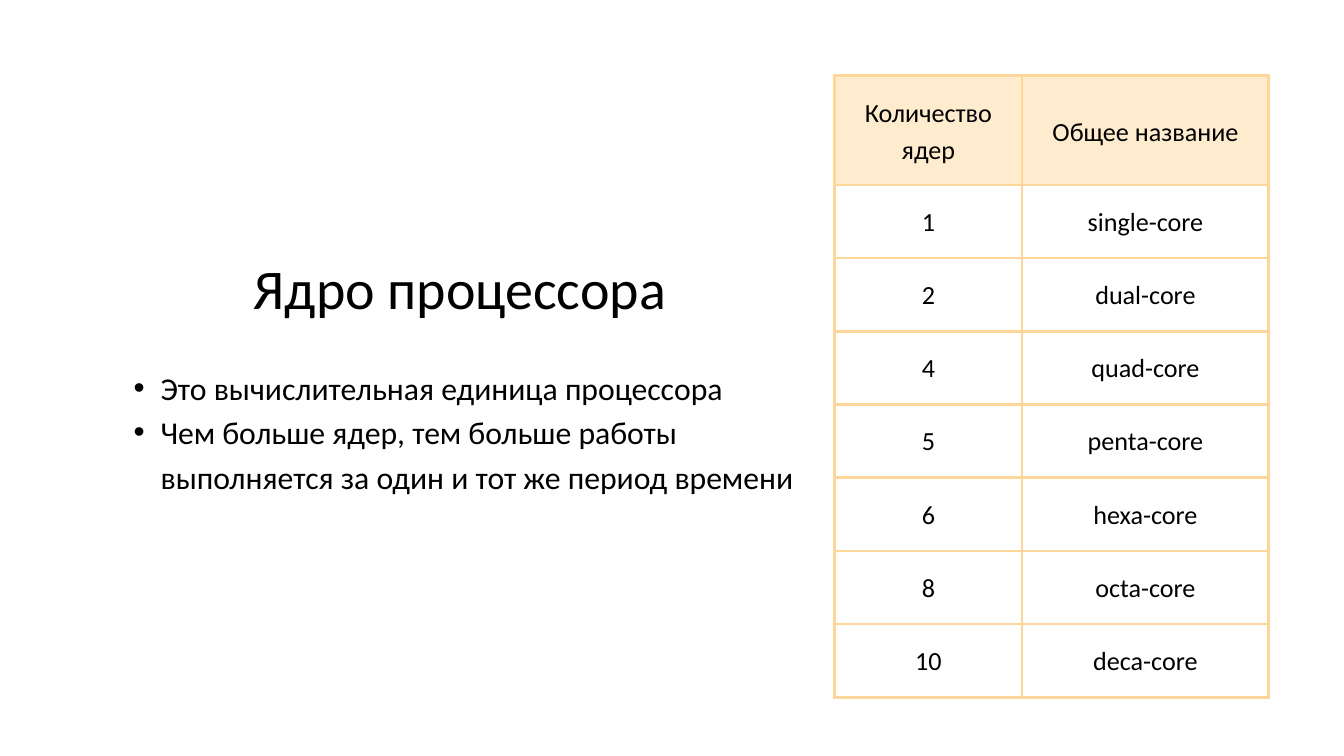
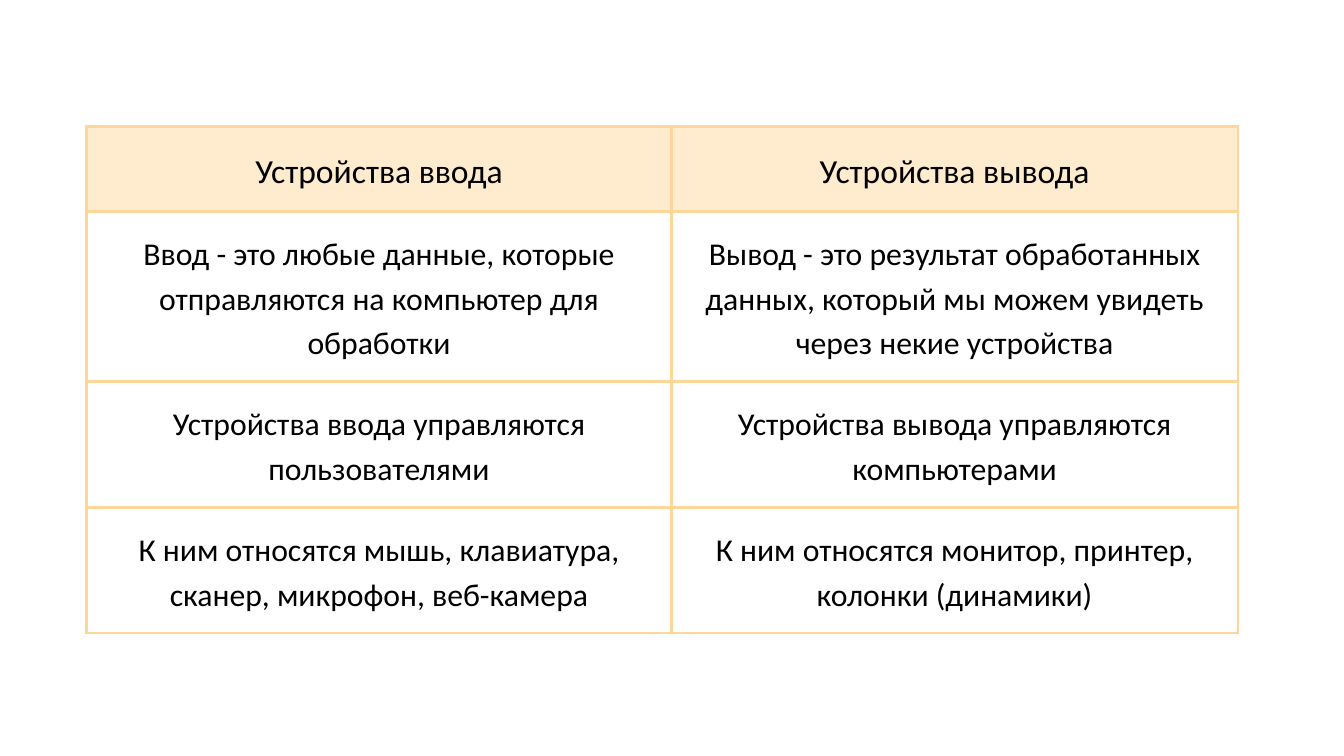
"""Build two slides on processor cores and on input and output devices."""
from lxml.etree import SubElement
from pptx import Presentation
from pptx.dml.color import RGBColor
from pptx.enum.text import MSO_ANCHOR, MSO_AUTO_SIZE, PP_ALIGN
from pptx.oxml.ns import qn
from pptx.util import Inches, Pt

COLUMNS, ROWS = 20, 11.25


def color(value):
    return RGBColor.from_string(value)


class Builder:
    """Hold the shared style and the slide being filled."""

    font = "Calibri"
    ink = "000000"
    header_fill = "FFEBCD"
    border = "FFD699"
    border_width = Pt(3)
    cell_margin = 0.21
    bullet_indent = 0.4

    def __init__(self):
        self.deck = Presentation()
        self.deck.slide_width = Inches(COLUMNS)
        self.deck.slide_height = Inches(ROWS)
        self.slide = None

    def grid(self, units):
        return round(self.deck.slide_width * units / COLUMNS)

    def add_slide(self):
        self.slide = self.deck.slides.add_slide(self.deck.slide_layouts[6])

    def style(self, para, size, spacing, align):
        para.alignment = align
        para.line_spacing = Pt(spacing)
        para.font.name = self.font
        para.font.size = Pt(size)
        para.font.color.rgb = color(self.ink)

    def add_bullet(self, para):
        para.level = 1
        properties = para._p.get_or_add_pPr()
        properties.set("marL", str(self.grid(2 * self.bullet_indent)))
        properties.set("indent", str(-self.grid(self.bullet_indent)))
        SubElement(properties, qn("a:buFont"), typeface="Arial")
        SubElement(properties, qn("a:buChar"), char="•")

    def add_text(self, group, place, lines, size, spacing, align=PP_ALIGN.LEFT, bullets=False):
        box = group.shapes.add_textbox(*map(self.grid, place))
        frame = box.text_frame
        frame.margin_left = frame.margin_right = frame.margin_top = frame.margin_bottom = 0
        frame.word_wrap = True
        frame.auto_size = MSO_AUTO_SIZE.SHAPE_TO_FIT_TEXT
        frame.text = "\n".join(lines)
        for para in frame.paragraphs:
            if bullets:
                self.add_bullet(para)
            self.style(para, size, spacing, align)

    def add_borders(self, cell):
        properties = cell._tc.get_or_add_tcPr()
        for side in ("a:lnL", "a:lnR", "a:lnT", "a:lnB"):
            line = SubElement(properties, qn(side), w=str(self.border_width))
            fill = SubElement(line, qn("a:solidFill"))
            SubElement(fill, qn("a:srgbClr"), val=self.border)

    def add_table(self, left, top, widths, heights, content, header_type, body_type):
        place = map(self.grid, (left, top, sum(widths), sum(heights)))
        table = self.slide.shapes.add_table(len(heights), len(widths), *place).table
        table.first_row = table.horz_banding = False
        for column, width in zip(table.columns, widths):
            column.width = self.grid(width)
        for index, (row, height, texts) in enumerate(zip(table.rows, heights, content)):
            row.height = self.grid(height)
            for cell, text in zip(row.cells, texts):
                self.fill_cell(cell, text, index == 0, header_type if index == 0 else body_type)

    def fill_cell(self, cell, text, is_header, type_style):
        margin = self.grid(self.cell_margin)
        cell.margin_left = cell.margin_right = cell.margin_top = cell.margin_bottom = margin
        cell.vertical_anchor = MSO_ANCHOR.MIDDLE
        self.add_borders(cell)
        if is_header:
            cell.fill.solid()
            cell.fill.fore_color.rgb = color(self.header_fill)
        else:
            cell.fill.background()
        cell.text = text
        self.style(cell.text_frame.paragraphs[0], *type_style, PP_ALIGN.CENTER)


def build_cores(builder):
    builder.add_slide()
    names = {1: "single", 2: "dual", 4: "quad", 5: "penta", 6: "hexa", 8: "octa", 10: "deca"}
    content = [("Количество ядер", "Общее название")]
    content += [(str(count), f"{name}-core") for count, name in names.items()]
    heights = [1.63] + [1.09] * len(names)
    builder.add_table(12.42, 1.12, [2.79, 3.67], heights, content, (28, 39.2), (28, 36.1))
    group = builder.slide.shapes.add_group_shape()
    left, width = 1.59, 10.51
    builder.add_text(group, (left, 3.78, width, 1.1), ["Ядро процессора"],
                     60, 72, PP_ALIGN.CENTER)
    builder.add_text(group, (left, 5.39, width, 1.98), [
        "Это вычислительная единица процессора",
        "Чем больше ядер, тем больше работы выполняется за один и тот же период времени",
    ], 34, 47.6, bullets=True)


def build_devices(builder):
    builder.add_slide()
    content = [
        ("Устройства ввода", "Устройства вывода"),
        ("Ввод - это любые данные, которые отправляются на компьютер для обработки",
         "Вывод - это результат обработанных данных, который мы можем увидеть "
         "через некие устройства"),
        ("Устройства ввода управляются пользователями",
         "Устройства вывода управляются компьютерами"),
        ("К ним относятся мышь, клавиатура, сканер, микрофон, веб-камера",
         "К ним относятся монитор, принтер, колонки (динамики)"),
    ]
    builder.add_table(1.29, 1.88, [8.7, 8.43], [1.27, 2.53, 1.87, 1.87], content,
                      (36, 50.4), (34, 47.6))


def main():
    builder = Builder()
    build_cores(builder)
    build_devices(builder)
    builder.deck.save("out.pptx")


if __name__ == "__main__":
    main()
